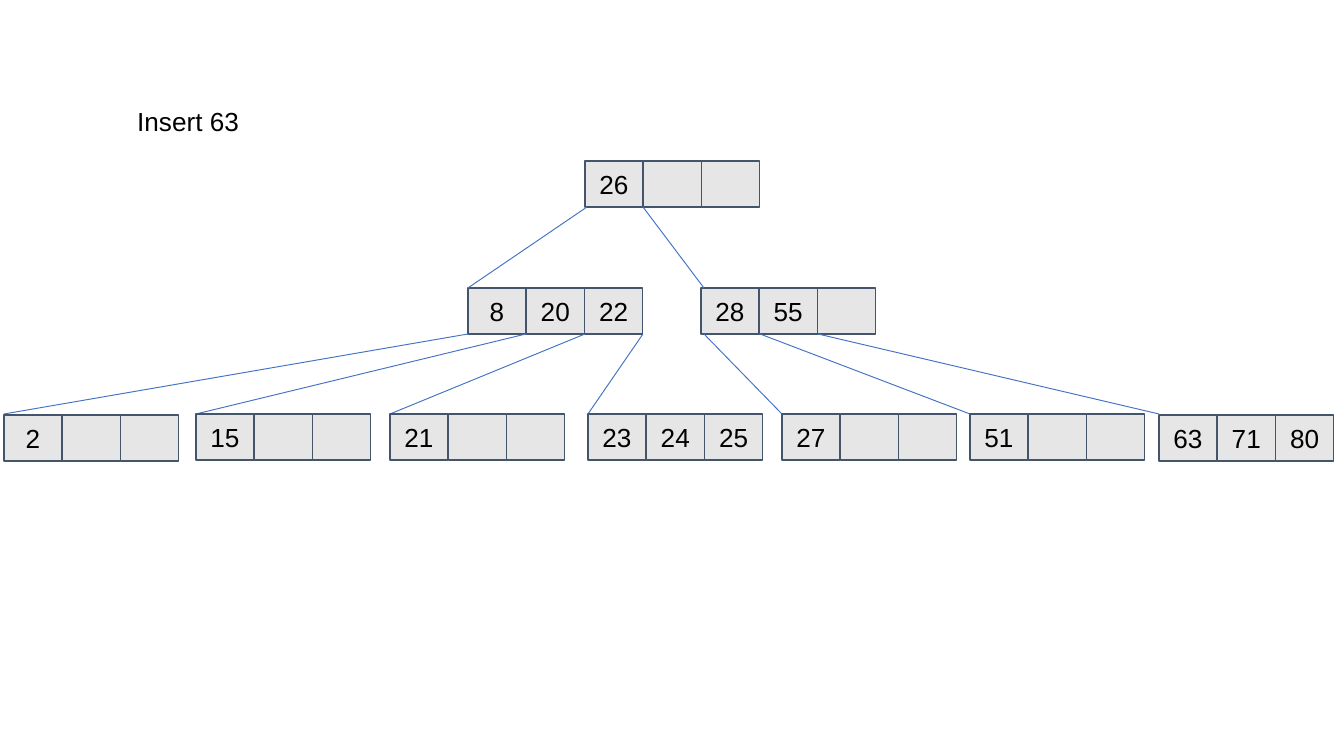
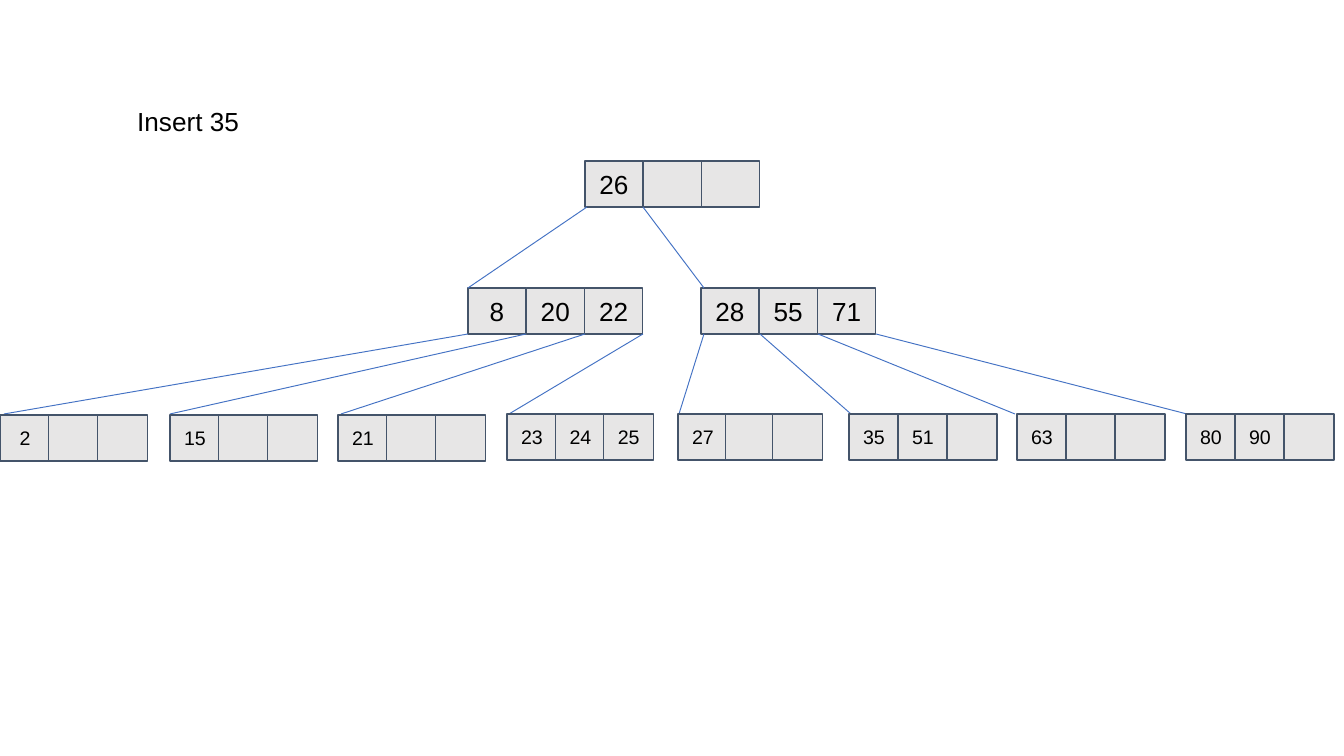
"""Build two slides that show insertions into a 2-3-4 tree."""
from lxml import etree
from pptx import Presentation
from pptx import util as u
from pptx.dml import color
from pptx.enum import shapes, text
from pptx.oxml import ns

PX = 914400 / 134.4
COLORS = {"cell": "E7E6E6", "border": "44546A", "edge": "4472C4", "text": "000000"}
FONT = "Arial"
CELL_H = 46
INSET = 13
SLOTS = 3
ROOT_Y, MID_Y, LEAF_Y = 161, 288, 414
MID_X = (468, 701)
ROOT_STARTS = (587, 643)
MID_STARTS = (468, 526, 585, 643, 704, 760, 818, 876)


def px(n):
    """Turn px into EMU."""
    return u.Emu(round(n * PX))


def rgb(name):
    """Look up a named colour."""
    return color.RGBColor.from_string(COLORS[name])


def style(p, size):
    """Format the runs of a paragraph."""
    for r in p.runs:
        r.font.name, r.font.size = FONT, u.Pt(size)
        r.font.color.rgb = rgb("text")


def add_title(s, label):
    """Add the label of the insertion."""
    sp = s.shapes.add_textbox(px(124), px(99), px(129), px(CELL_H))
    tf = sp.text_frame
    tf.word_wrap = False
    tf.auto_size = text.MSO_AUTO_SIZE.SHAPE_TO_FIT_TEXT
    tf.text = label
    style(tf.paragraphs[0], 14)


def add_cell(s, x, y, width, key, size):
    """Add one key slot, blank when the key is empty."""
    sp = s.shapes.add_shape(shapes.MSO_SHAPE.RECTANGLE, px(x), px(y), px(width), px(CELL_H))
    sp.shadow.inherit = False
    sp.fill.solid()
    sp.fill.fore_color.rgb = rgb("cell")
    sp.line.color.rgb = rgb("border")
    sp.line.width = u.Pt(0.75)
    if not key:
        return
    tf = sp.text_frame
    tf.margin_left = tf.margin_right = tf.margin_top = tf.margin_bottom = px(INSET)
    tf.vertical_anchor = text.MSO_ANCHOR.MIDDLE
    tf.text = key
    p = tf.paragraphs[0]
    p.alignment = text.PP_ALIGN.CENTER
    style(p, size)


def add_node(s, x, y, keys, span=175, cell=58, size=14):
    """Add a node whose slots divide its span."""
    labels = keys.split()
    labels += [""] * (SLOTS - len(labels))
    for i, key in enumerate(labels):
        add_cell(s, x + i * span / SLOTS, y, cell, key, size)


def add_edges(s, starts, ends, y):
    """Join parent slots to the children in the row at y."""
    top = (ROOT_Y if y == MID_Y else MID_Y) + CELL_H
    for x1, x2 in zip(starts, ends):
        c = s.shapes.add_connector(shapes.MSO_CONNECTOR.STRAIGHT, px(x1), px(top), px(x2), px(y))
        c.line.color.rgb = rgb("edge")
        c.line.width = u.Pt(0.5)
        etree.SubElement(c._element.spPr, ns.qn("a:effectLst"))


def add_tree(prs, label, mids, leaves, starts, ends, **leaf_style):
    """Add a slide with a root, middle nodes and leaves."""
    s = prs.slides.add_slide(prs.slide_layouts[6])
    add_title(s, label)
    add_node(s, 585, ROOT_Y, "26")
    for x, keys in zip(MID_X, mids):
        add_node(s, x, MID_Y, keys)
    add_edges(s, ROOT_STARTS, (468, 704), MID_Y)
    add_edges(s, starts, ends, LEAF_Y)
    for x, y, keys, span in leaves:
        add_node(s, x, y, keys, span, **leaf_style)


def main():
    """Build and save the presentation."""
    prs = Presentation()
    prs.slide_width, prs.slide_height = px(1344), px(756)
    wide = [(4, 415, "2", 175), (196, 414, "15", 175), (390, 414, "21", 175),
            (588, 414, "23 24 25", 175), (782, 414, "27", 175),
            (970, 414, "51", 175), (1159, 415, "63 71 80", 175)]
    add_tree(prs, "Insert 63", ("8 20 22", "28 55"), wide,
             MID_STARTS[:-1], [leaf[0] for leaf in wide])
    narrow = [(0, 415, "2", 146), (170, 415, "15", 146), (338, 415, "21", 146),
              (507, 414, "23 24 25", 145), (678, 414, "27", 142),
              (849, 414, "35 51", 147), (1017, 414, "63", 147), (1186, 414, "80 90", 147)]
    add_tree(prs, "Insert 35", ("8 20 22", "28 55 71"), narrow, MID_STARTS,
             (4, 170, 341, 509, 679, 851, 1015, 1187), cell=50, size=10.5)
    prs.save("out.pptx")


if __name__ == "__main__":
    main()
